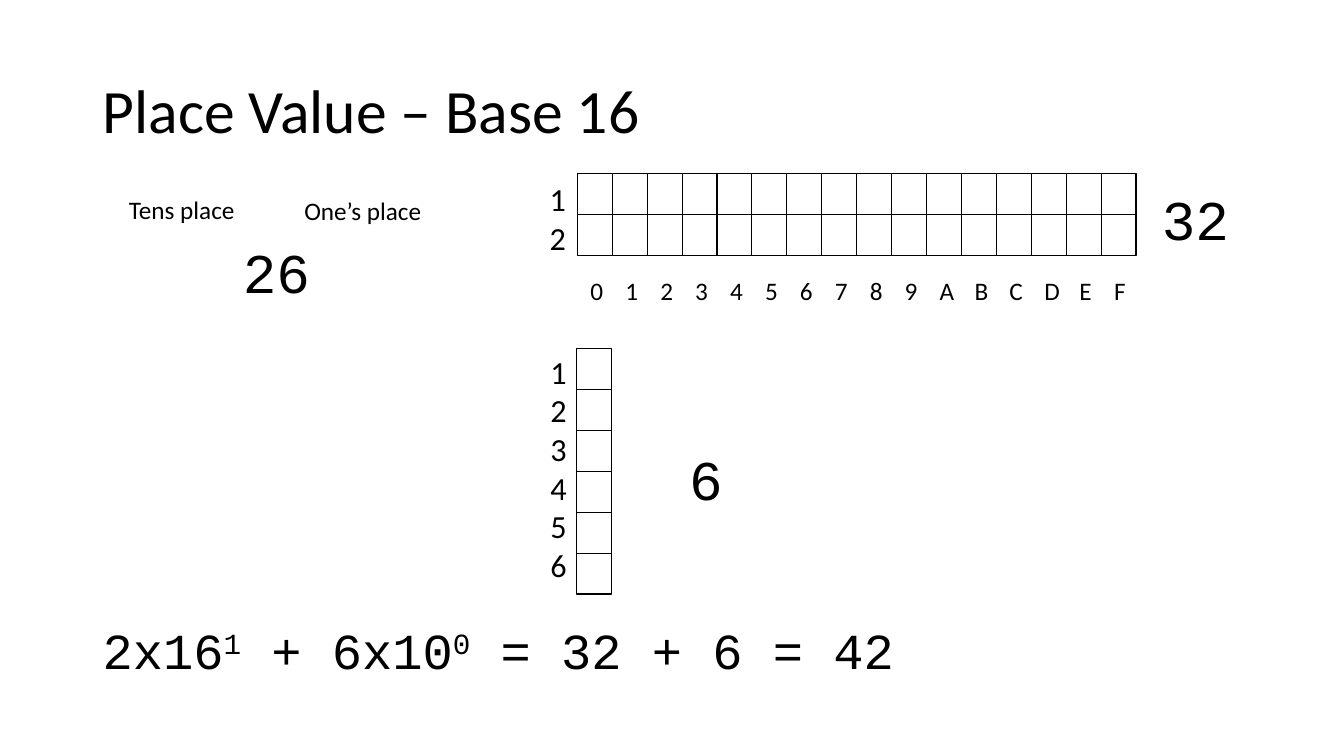
from pptx import Presentation
from pptx.dml.color import RGBColor
from pptx.enum.shapes import MSO_SHAPE as Shape
from pptx.enum.text import MSO_ANCHOR as Anchor, MSO_AUTO_SIZE as Fit, PP_ALIGN as Align
from pptx.util import Cm, Pt

# Content
TITLE = "Place Value – Base 16"
DIGITS = "0123456789ABCDEF"
FORMULA = [("2x16", False), ("1", True), (" + 6x10", False), ("0", True),
           (" = 32 + 6 = 42", False)]
PLACES = [("Tens place", 3.0, 4.78, 3.2), ("One’s place", 7.42, 4.8, 3.5)]
VALUES = [("26", 5.87, 5.87), ("6", 17.12, 11.07), ("32", 29.03, 4.52)]
# Grids: left, top, columns, rows, left and top of the row numbers
GRIDS = [(14.55, 4.37, len(DIGITS), 2, 13.6, 4.4),
         (14.53, 8.79, 1, 6, 13.62, 8.75)]

# Look
BLACK = RGBColor(0, 0, 0)
SANS, MONO = "Calibri", "Courier New"
CELL_W, CELL_H = 0.88, 1.03

deck = Presentation()
deck.slide_width, deck.slide_height = Cm(33.87), Cm(19.05)
slide = deck.slides.add_slide(deck.slide_layouts[5])
shapes = slide.shapes


def style(para, size, face):
    para.font.size = Pt(size)
    para.font.name = face
    para.font.color.rgb = BLACK


def add_text(lines, x, y, w, h, size, face=SANS, wrap=True):
    frame = shapes.add_textbox(Cm(x), Cm(y), Cm(w), Cm(h)).text_frame
    frame.word_wrap = wrap
    frame.text = "\n".join(lines)
    for para in frame.paragraphs:
        style(para, size, face)
    return frame


def add_cell(x, y):
    cell = shapes.add_shape(Shape.RECTANGLE, Cm(x), Cm(y), Cm(CELL_W), Cm(CELL_H))
    cell.shadow.inherit = False
    cell.fill.background()
    cell.line.color.rgb = BLACK
    cell.line.width = Pt(0.75)


# Title
title = shapes.title
title.left, title.top, title.width, title.height = Cm(2.34), Cm(1.02), Cm(29.21), Cm(3.68)
frame = title.text_frame
frame.text = TITLE
frame.vertical_anchor = Anchor.MIDDLE
frame.auto_size = Fit.NONE
para = frame.paragraphs[0]
para.alignment = Align.LEFT
para.line_spacing = 0.9
style(para, 44, SANS)

# Grids with numbered rows
for left, top, cols, rows, num_x, num_y in GRIDS:
    for row in range(rows):
        for col in range(cols):
            add_cell(left + col * CELL_W, top + row * CELL_H)
    nums = [str(n + 1) for n in range(rows)]
    add_text(nums, num_x, num_y, 0.91, rows * CELL_H, 23, wrap=False)

# Digits under the columns
for col, digit in enumerate(DIGITS):
    add_text([digit], 14.63 + col * CELL_W, 6.81, CELL_W, 1.03, 18)

# Place names and values
for name, x, y, w in PLACES:
    add_text([name], x, y, w, 1.03, 18, wrap=False)
for value, x, y in VALUES:
    add_text([value], x, y, 3.12, 1.97, 40, MONO)

# Formula with raised exponents
para = add_text([""], 2.34, 15.47, 29.21, 1.8, 36, MONO).paragraphs[0]
for text, raised in FORMULA:
    run = para.add_run()
    run.text = text
    if raised:
        run.font._element.set("baseline", "30000")

deck.save("out.pptx")
